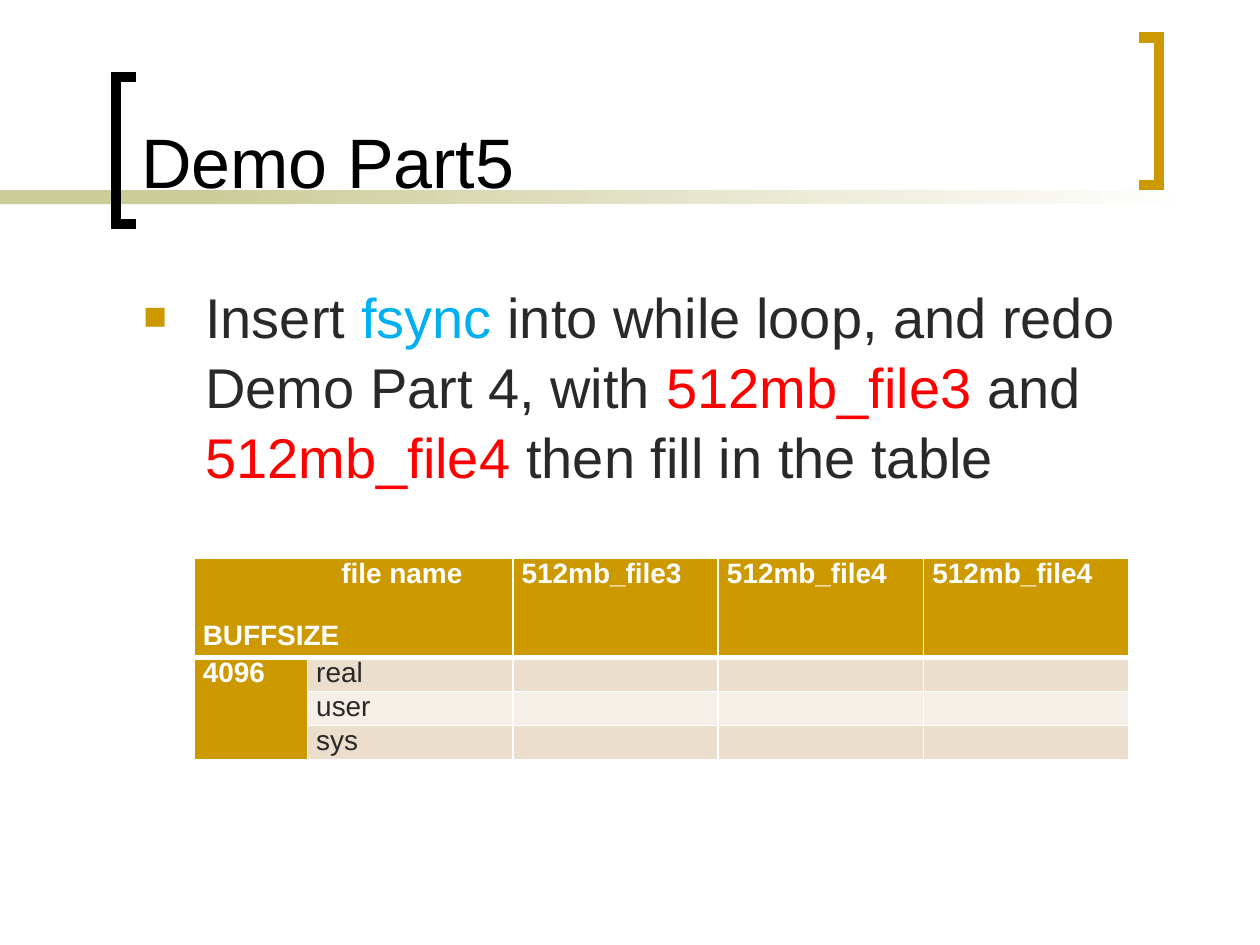
"""Build the Demo Part5 slide with its bracketed title and timing table."""
from dataclasses import dataclass

from lxml.etree import SubElement
from pptx import Presentation
from pptx.dml.color import RGBColor
from pptx.enum.shapes import MSO_SHAPE as Preset
from pptx.enum.text import MSO_ANCHOR as Anchor, PP_ALIGN as Align
from pptx.oxml.ns import qn
from pptx.util import Inches, Pt

COLORS = {
    "black": "000000", "white": "FFFFFF", "gold": "CC9900", "olive": "CCCC99",
    "text": "292929", "call": "00B0F0", "file": "FF0000",
    "odd": "ECDECC", "even": "F6EFE7",
}
FONT = "Arial"
BRACKET_WIDTH, BRACKET_HEIGHT = 0.16, 1.17


@dataclass
class Bracket:
    spine: float
    tip: float
    top: float
    color: str


@dataclass
class Phrase:
    text: str
    color: str = "text"


def rgb(name: str) -> RGBColor:
    return RGBColor.from_string(COLORS[name])


def style(run, size: float, color: str, bold: bool = False) -> None:
    run.font.name = FONT
    run.font.size = Pt(size)
    run.font.bold = bold
    run.font.color.rgb = rgb(color)


def add_band(shapes, left: float, width: float):
    band = shapes.add_shape(Preset.RECTANGLE, Inches(left), Inches(1.51), Inches(width), Inches(0.11))
    band.shadow.inherit = False
    band.line.fill.background()
    return band


def add_bracket(shapes, bracket: Bracket) -> None:
    bottom = bracket.top + BRACKET_HEIGHT
    corners = [(bracket.spine, bracket.top), (bracket.spine, bottom), (bracket.tip, bottom)]
    builder = shapes.build_freeform(Inches(bracket.tip), Inches(bracket.top))
    builder.add_line_segments([(Inches(x), Inches(y)) for x, y in corners], close=False)
    outline = builder.convert_to_shape()
    outline.shadow.inherit = False
    outline.fill.background()
    outline.line.color.rgb = rgb(bracket.color)
    outline.line.width = Pt(6)
    SubElement(outline.line._get_or_add_ln(), qn("a:miter"), lim="800000")


def add_bullet(paragraph, indent: float) -> None:
    properties = paragraph._p.get_or_add_pPr()
    properties.set("marL", str(Inches(indent)))
    properties.set("indent", str(-Inches(indent)))
    color = SubElement(properties, qn("a:buClr"))
    SubElement(color, qn("a:srgbClr"), val=COLORS["gold"])
    SubElement(properties, qn("a:buSzPct"), val="70000")
    SubElement(properties, qn("a:buFont"), typeface=FONT)
    SubElement(properties, qn("a:buChar"), char="■")


def format_cell(cell, fill: str, text: str, color: str, bold: bool, bottom: float) -> None:
    cell.margin_left = cell.margin_right = Inches(0.07)
    cell.margin_top = cell.margin_bottom = 0
    for side, width in (("lnL", 1), ("lnR", 1), ("lnT", 1), ("lnB", bottom)):
        border = SubElement(cell._tc.get_or_add_tcPr(), qn(f"a:{side}"), w=str(Pt(width)))
        paint = SubElement(border, qn("a:solidFill"))
        SubElement(paint, qn("a:srgbClr"), val=COLORS["white"])
    cell.fill.solid()
    cell.fill.fore_color.rgb = rgb(fill)
    cell.text_frame.text = text
    for paragraph in cell.text_frame.paragraphs:
        for run in paragraph.runs:
            style(run, 16, color, bold)
        if not paragraph.runs:
            SubElement(paragraph._p, qn("a:endParaRPr"), sz="1600")


def add_timings(shapes) -> None:
    rows = [
        ["file name\nBUFFSIZE", "", "512mb_file3", "512mb_file4", "512mb_file4"],
        ["4096", "real", "", "", ""],
        ["", "user", "", "", ""],
        ["", "sys", "", "", ""],
    ]
    widths = [0.9] + [1.63] * 4
    heights = [0.79] + [0.27] * 3
    timings = shapes.add_table(
        len(rows), len(widths), Inches(1.54), Inches(4.43), Inches(sum(widths)), Inches(sum(heights))
    ).table
    for column, width in zip(timings.columns, widths):
        column.width = Inches(width)
    for row, height in zip(timings.rows, heights):
        row.height = Inches(height)
    for r, labels in enumerate(rows):
        for c, label in enumerate(labels):
            heading = r == 0 or c == 0
            fill = "gold" if heading else "odd" if r % 2 else "even"
            color = "white" if heading else "text"
            format_cell(timings.cell(r, c), fill, label, color, heading, 1 if r else 3)
    timings.cell(0, 0).merge(timings.cell(0, 1))
    timings.cell(1, 0).merge(timings.cell(3, 0))
    file_heading, size_heading = timings.cell(0, 0).text_frame.paragraphs
    file_heading._p.get_or_add_pPr().set("marL", str(Inches(1.1)))
    size_heading.space_before = Pt(18)


def add_task(shapes, phrases: list[Phrase]) -> None:
    task = shapes.add_textbox(Inches(1.04), Inches(2.17), Inches(8.38), Inches(2.1)).text_frame
    task.word_wrap = True
    paragraph = task.paragraphs[0]
    paragraph.line_spacing = 1.04
    add_bullet(paragraph, 0.49)
    for phrase in phrases:
        run = paragraph.add_run()
        run.text = phrase.text
        style(run, 32, phrase.color)


def place_title(slide, text: str) -> None:
    title = slide.shapes.title
    title.left, title.top, title.width, title.height = map(Inches, (1.02, 0.11, 7.83, 1.55))
    title.text_frame.text = text
    title.text_frame.vertical_anchor = Anchor.BOTTOM
    heading = title.text_frame.paragraphs[0]
    heading.alignment = Align.LEFT
    style(heading.runs[0], 40, "black")
    slide.shapes._spTree.append(title._element)


def main() -> None:
    deck = Presentation()
    deck.slide_width, deck.slide_height = Inches(10), Inches(7.5)
    slide = deck.slides.add_slide(deck.slide_layouts[5])
    shapes = slide.shapes

    solid_band = add_band(shapes, 0, 2.33)
    solid_band.fill.solid()
    solid_band.fill.fore_color.rgb = rgb("olive")
    fading_band = add_band(shapes, 1.58, 7.92)
    fading_band.fill.gradient()
    fading_band.fill.gradient_angle = 0
    for stop, color in zip(fading_band.fill.gradient_stops, ("olive", "white")):
        stop.color.rgb = rgb(color)

    for bracket in (
        Bracket(0.92, 0.92 + BRACKET_WIDTH, 0.61, "black"),
        Bracket(9.2, 9.2 - BRACKET_WIDTH, 0.3, "gold"),
    ):
        add_bracket(shapes, bracket)

    place_title(slide, "Demo Part5")
    add_task(shapes, [
        Phrase("Insert "),
        Phrase("fsync ", "call"),
        Phrase("into while loop, and redo Demo Part 4, with "),
        Phrase("512mb_file3", "file"),
        Phrase(" and "),
        Phrase("512mb_file4", "file"),
        Phrase(" then fill in the table"),
    ])
    add_timings(shapes)
    deck.save("out.pptx")


main()
